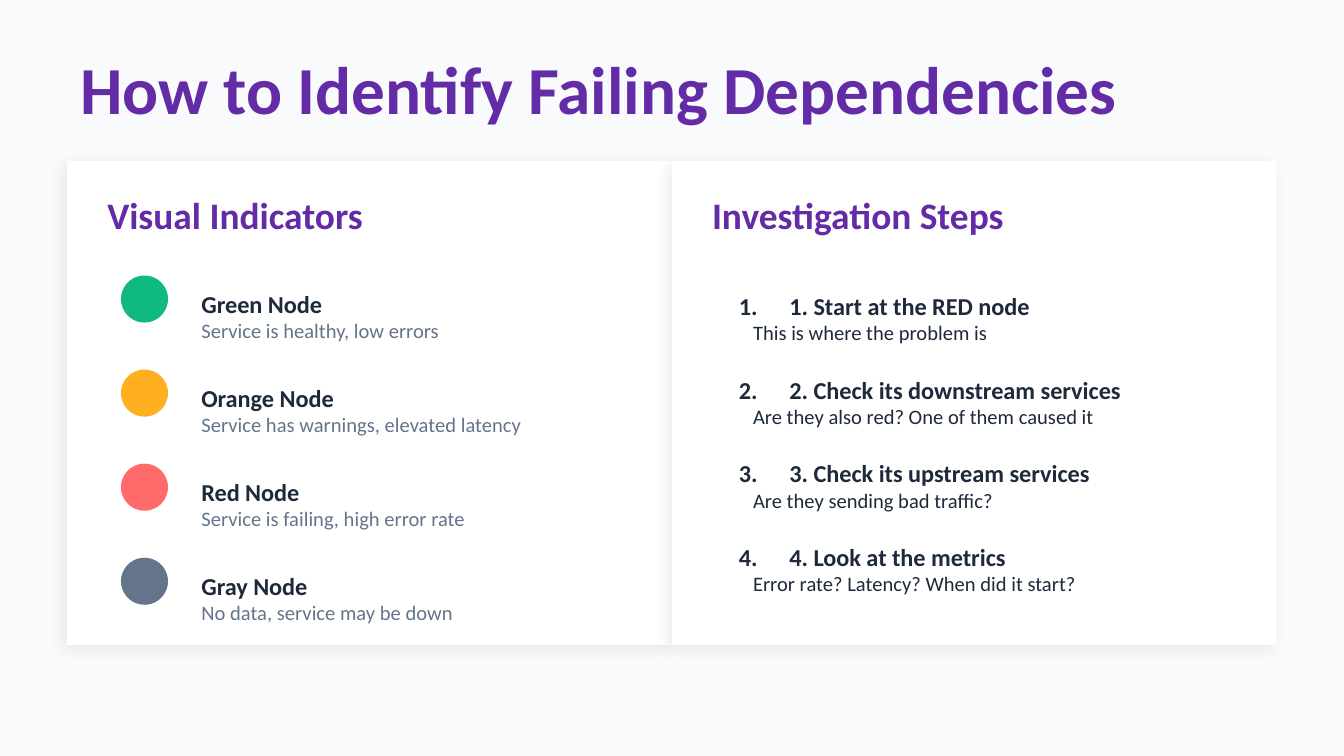
from dataclasses import dataclass

from lxml.etree import SubElement
from pptx import Presentation
from pptx.dml.color import RGBColor
from pptx.enum.shapes import MSO_SHAPE as Preset
from pptx.enum.text import MSO_ANCHOR as Anchor
from pptx.oxml.ns import qn
from pptx.util import Pt

EMU_PER_PX = 4572


@dataclass(frozen=True)
class Theme:
    font: str = "Calibri"
    background: str = "F8FAFC"
    card: str = "FFFFFF"
    shadow: str = "000000"
    accent: str = "632CA6"
    ink: str = "1E293B"
    muted: str = "64748B"
    green: str = "10B981"
    orange: str = "FFB020"
    red: str = "FF6B6B"
    gray: str = "64748B"
    title_size: int = 36
    heading_size: int = 20
    label_size: int = 13
    detail_size: int = 11
    step_gap: int = 16


THEME = Theme()

INDICATORS = [
    ("Green Node", "Service is healthy, low errors", THEME.green),
    ("Orange Node", "Service has warnings, elevated latency", THEME.orange),
    ("Red Node", "Service is failing, high error rate", THEME.red),
    ("Gray Node", "No data, service may be down", THEME.gray),
]
STEPS = [
    ("1. Start at the RED node", "This is where the problem is"),
    ("2. Check its downstream services", "Are they also red? One of them caused it"),
    ("3. Check its upstream services", "Are they sending bad traffic?"),
    ("4. Look at the metrics", "Error rate? Latency? When did it start?"),
]


def px(*lengths):
    return [length * EMU_PER_PX for length in lengths]


def apply_format(target, values):
    for name, value in values.items():
        setattr(target, name, value)


def text_format(size, color, bold=False):
    return {"size": Pt(size), "color": color, "bold": bold}


TITLE = text_format(THEME.title_size, THEME.accent, True)
HEADING = text_format(THEME.heading_size, THEME.accent, True)
LABEL = text_format(THEME.label_size, THEME.ink, True)
MUTED_DETAIL = text_format(THEME.detail_size, THEME.muted)
STEP_DETAIL = text_format(THEME.detail_size, THEME.ink)


def add_text(slide, box, lines):
    frame = slide.shapes.add_textbox(*px(*box)).text_frame
    apply_format(frame, {"word_wrap": True, "vertical_anchor": Anchor.MIDDLE})
    paragraphs = []
    for index, (text, style) in enumerate(lines):
        paragraph = frame.add_paragraph() if index else frame.paragraphs[0]
        run = paragraph.add_run()
        run.text = text
        apply_format(run.font, {"name": THEME.font, "size": style["size"], "bold": style["bold"]})
        run.font.color.rgb = RGBColor.from_string(style["color"])
        paragraphs.append(paragraph)
    return paragraphs


def add_filled_shape(slide, preset, box, color):
    shape = slide.shapes.add_shape(preset, *px(*box))
    shape.shadow.inherit = False
    shape.fill.solid()
    shape.fill.fore_color.rgb = RGBColor.from_string(color)
    shape.line.fill.background()
    return shape


def add_soft_shadow(shape):
    effects = shape._element.spPr.find(qn("a:effectLst"))
    shadow = SubElement(effects, qn("a:outerShdw"), {
        "blurRad": str(Pt(8)), "dist": str(Pt(3)), "dir": str(135 * 60000),
        "algn": "bl", "rotWithShape": "0",
    })
    color = SubElement(shadow, qn("a:srgbClr"), {"val": THEME.shadow})
    SubElement(color, qn("a:alpha"), {"val": "8000"})


def add_card(slide, left, heading):
    card = add_filled_shape(slide, Preset.RECTANGLE, (left, 240, 900, 720), THEME.card)
    add_soft_shadow(card)
    add_text(slide, (left + 40, 280, 820, 80), [(heading, HEADING)])


def add_indicator(slide, top, label, detail, color):
    add_filled_shape(slide, Preset.OVAL, (180, top, 70, 70), color)
    add_text(slide, (280, top + 10, 680, 100), [(label, LABEL), (detail, MUTED_DETAIL)])


def set_indent(paragraph, margin, indent):
    properties = paragraph._p.get_or_add_pPr()
    for name, length in {"marL": margin, "indent": indent}.items():
        properties.set(name, str(length * EMU_PER_PX))
    return properties


def add_steps(slide):
    lines = [line for label, detail in STEPS
             for line in ((label, LABEL), (detail, STEP_DETAIL))]
    paragraphs = add_text(slide, (1080, 400, 780, 520), lines)
    for index, label in enumerate(paragraphs[::2]):
        if index:
            label.space_before = Pt(THEME.step_gap)
        properties = set_indent(label, 75, -75)
        SubElement(properties, qn("a:buAutoNum"), {"type": "arabicPeriod"})
    for detail in paragraphs[1::2]:
        set_indent(detail, 21, 0)


def main():
    presentation = Presentation()
    width, height = px(2000, 1125)
    apply_format(presentation, {"slide_width": width, "slide_height": height})
    slide = presentation.slides.add_slide(presentation.slide_layouts[6])
    slide.background.fill.solid()
    slide.background.fill.fore_color.rgb = RGBColor.from_string(THEME.background)

    add_text(slide, (100, 80, 1800, 100), [("How to Identify Failing Dependencies", TITLE)])
    add_card(slide, 100, "Visual Indicators")
    for index, indicator in enumerate(INDICATORS):
        add_indicator(slide, 410 + 140 * index, *indicator)
    add_card(slide, 1000, "Investigation Steps")
    add_steps(slide)
    presentation.save("out.pptx")


if __name__ == "__main__":
    main()
